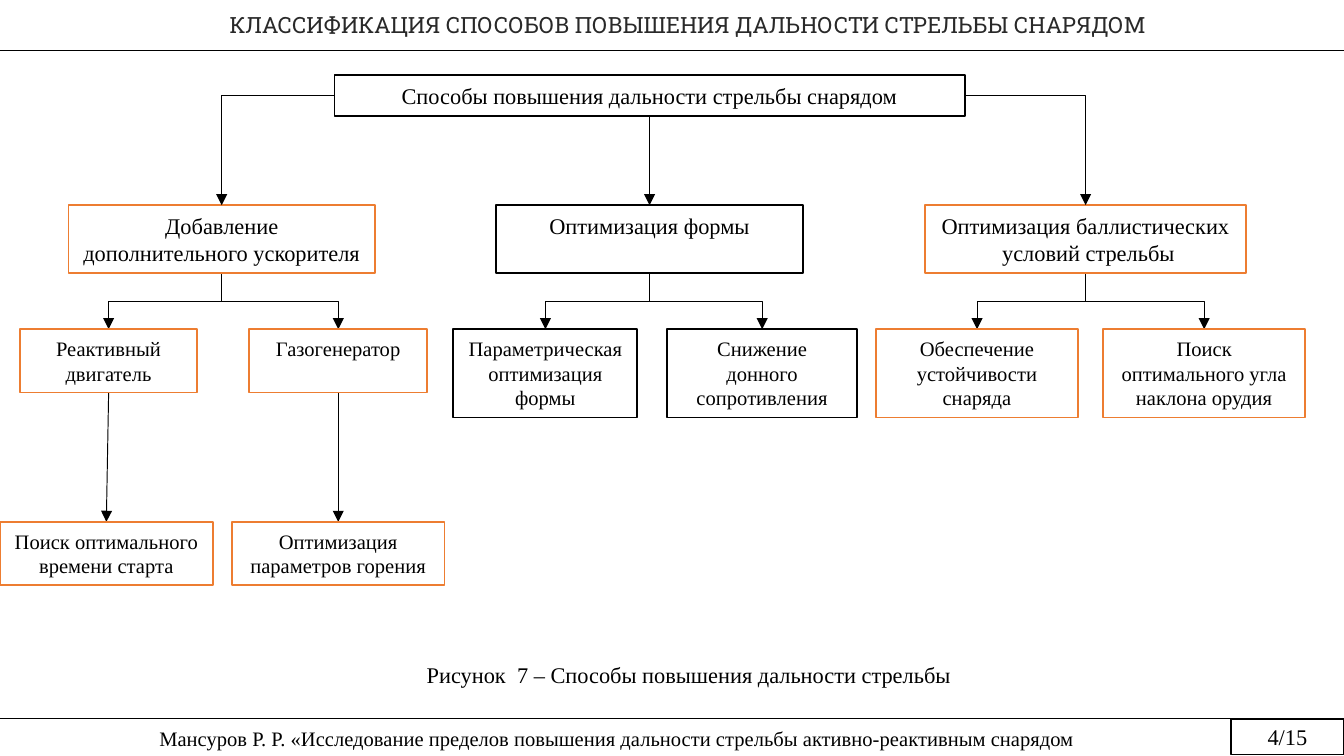
"""Build the slide with the tree of ways to extend firing range."""
from dataclasses import dataclass
from pptx import Presentation
from pptx.dml.color import RGBColor
from pptx.enum.shapes import MSO_CONNECTOR, MSO_SHAPE
from pptx.enum.text import MSO_ANCHOR, MSO_AUTO_SIZE, PP_ALIGN
from pptx.oxml.ns import qn
from pptx.util import Pt


@dataclass
class Theme:
    ink: RGBColor = RGBColor(0, 0, 0)
    head: RGBColor = RGBColor(0x29, 0x29, 0x29)
    paper: RGBColor = RGBColor(255, 255, 255)
    accent: RGBColor = RGBColor(0xED, 0x7D, 0x31)
    font: str = "Times New Roman"
    slab: str = "Roboto Slab"
    big: int = 12
    small: int = 11
    rule: float = 0.75
    edge: float = 1
    thin: float = 0.5


theme = Theme()


def write(shape, text, size, anchor=MSO_ANCHOR.TOP, pad=(7.2, 3.6), align=PP_ALIGN.CENTER):
    frame = shape.text_frame
    frame.word_wrap = True
    frame.auto_size = MSO_AUTO_SIZE.NONE
    frame.vertical_anchor = anchor
    frame.margin_left = frame.margin_right = Pt(pad[0])
    frame.margin_top = frame.margin_bottom = Pt(pad[1])
    for row, line in enumerate(text.split("\n")):
        para = frame.add_paragraph() if row else frame.paragraphs[0]
        para.alignment = align
        run = para.add_run()
        run.text = line
        run.font.size = Pt(size)
        run.font.name = theme.font
        run.font.color.rgb = theme.ink
    return frame.paragraphs[0]


def wire(start, end, width=theme.thin, arrow=True, bend=None):
    (left, top), (right, low) = start, end
    kind = MSO_CONNECTOR.ELBOW if bend else MSO_CONNECTOR.STRAIGHT
    link = slide.shapes.add_connector(kind, Pt(left), Pt(top), Pt(right), Pt(low))
    link.line.color.rgb = theme.ink
    link.line.width = Pt(width)
    props = link._element.spPr
    if bend == "corner":
        props.find(qn("a:prstGeom")).set("prst", "bentConnector2")
    if bend == "fork":
        wide, tall = abs(right - left), low - top
        link.left = Pt((left + right - tall) / 2)
        link.top = Pt((top + low - wide) / 2)
        link.width, link.height = Pt(tall), Pt(wide)
        form = props.find(qn("a:xfrm"))
        form.set("rot", str((90 if right < left else 270) * 60000))
        form.set("flipH", "0" if right < left else "1")
    if arrow:
        tip = link.line._get_or_add_ln()
        tip.append(tip.makeelement(qn("a:tailEnd"), {"type": "triangle"}))
    props.append(props.makeelement(qn("a:effectLst"), {}))


deck = Presentation()
deck.slide_width, deck.slide_height = Pt(720), Pt(405)
slide = deck.slides.add_slide(deck.slide_layouts[5])

title = slide.shapes.title
title.left, title.top, title.width, title.height = Pt(0), Pt(0), Pt(720), Pt(26.6)
title.fill.solid()
title.fill.fore_color.rgb = theme.paper
para = write(title, "КЛАССИФИКАЦИЯ СПОСОБОВ ПОВЫШЕНИЯ ДАЛЬНОСТИ СТРЕЛЬБЫ СНАРЯДОМ",
             theme.big, MSO_ANCHOR.MIDDLE, (0.7, 0.7))
para._p.get_or_add_pPr().set("indent", str(Pt(17)))
para.runs[0].font.name = theme.slab
para.runs[0].font.color.rgb = theme.head
wire((0, 27), (720, 27), theme.rule, False)

foot = slide.shapes.add_textbox(Pt(0), Pt(386), Pt(661), Pt(19))
write(foot, "Мансуров Р. Р. «Исследование пределов повышения дальности стрельбы "
      "активно-реактивным снарядом", theme.small, MSO_ANCHOR.MIDDLE, (5, 3))
wire((0, 385), (661, 385), theme.rule, False)

page = slide.shapes.add_shape(MSO_SHAPE.RECTANGLE, Pt(659.5), Pt(385.2), Pt(60.5), Pt(19))
page.shadow.inherit = False
page.fill.background()
page.line.color.rgb = theme.ink
page.line.width = Pt(theme.rule)
write(page, "4/15", theme.big, MSO_ANCHOR.MIDDLE, (5, 3))

note = slide.shapes.add_textbox(Pt(221.5), Pt(350.6), Pt(335.5), Pt(21.8))
write(note, "Рисунок  7 – Способы повышения дальности стрельбы", theme.big, align=PP_ALIGN.LEFT)

root = (348, 40.3, 337.6, 21.8, theme.ink, theme.big, "Способы повышения дальности стрельбы снарядом")
tree = [
    (118.8, 164.2, theme.accent, "Добавление дополнительного ускорителя", 33.9, [
        (58.2, 95.2, "Реактивный двигатель"),
        (181.2, 95.2, "Газогенератор")]),
    (348, 164.2, theme.ink, "Оптимизация формы", 47.3, [
        (292.2, 98.6, "Параметрическая оптимизация формы"),
        (408.3, 101.6, "Снижение донного сопротивления")]),
    (581.6, 172.2, theme.accent, "Оптимизация баллистических\n условий стрельбы", 47.3, [
        (523.4, 108.2, "Обеспечение устойчивости снаряда"),
        (645.1, 108.2, "Поиск оптимального угла наклона орудия")]),
]
ends = [
    (58.2, 57, "Поиск оптимального времени старта"),
    (181.2, 181.2, "Оптимизация параметров горения"),
]

boxes = [root]
for mid, wide, tone, text, tall, leaves in tree:
    boxes.append((mid, 110, wide, 36.3, tone, theme.big, text))
    for spot, span, label in leaves:
        boxes.append((spot, 176.4, span, tall, tone, theme.small, label))
        wire((mid, 146.3), (spot, 176.4), bend="fork")
for start, mid, text in ends:
    boxes.append((mid, 279.6, 114, 33.9, theme.accent, theme.small, text))
    wire((start, 210.3), (mid, 279.6))

for mid, top, wide, tall, tone, size, text in boxes:
    box = slide.shapes.add_shape(MSO_SHAPE.RECTANGLE, Pt(mid - wide / 2), Pt(top), Pt(wide), Pt(tall))
    box.shadow.inherit = False
    box.fill.solid()
    box.fill.fore_color.rgb = theme.paper
    box.line.color.rgb = tone
    box.line.width = Pt(theme.edge)
    write(box, text, size)

wire((179.2, 51.2), (118.8, 110), bend="corner")
wire((348, 62.1), (348, 110))
wire((516.8, 51.2), (581.6, 110), bend="corner")

deck.save("out.pptx")
